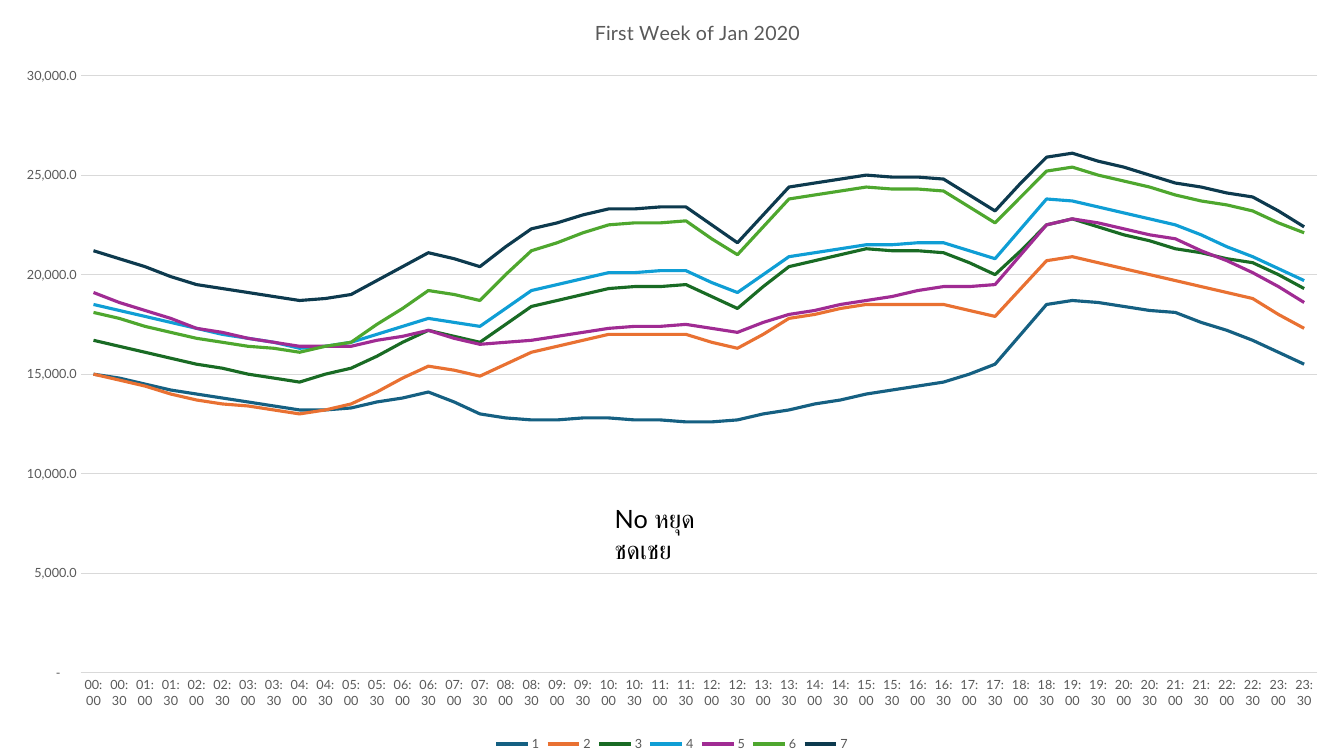
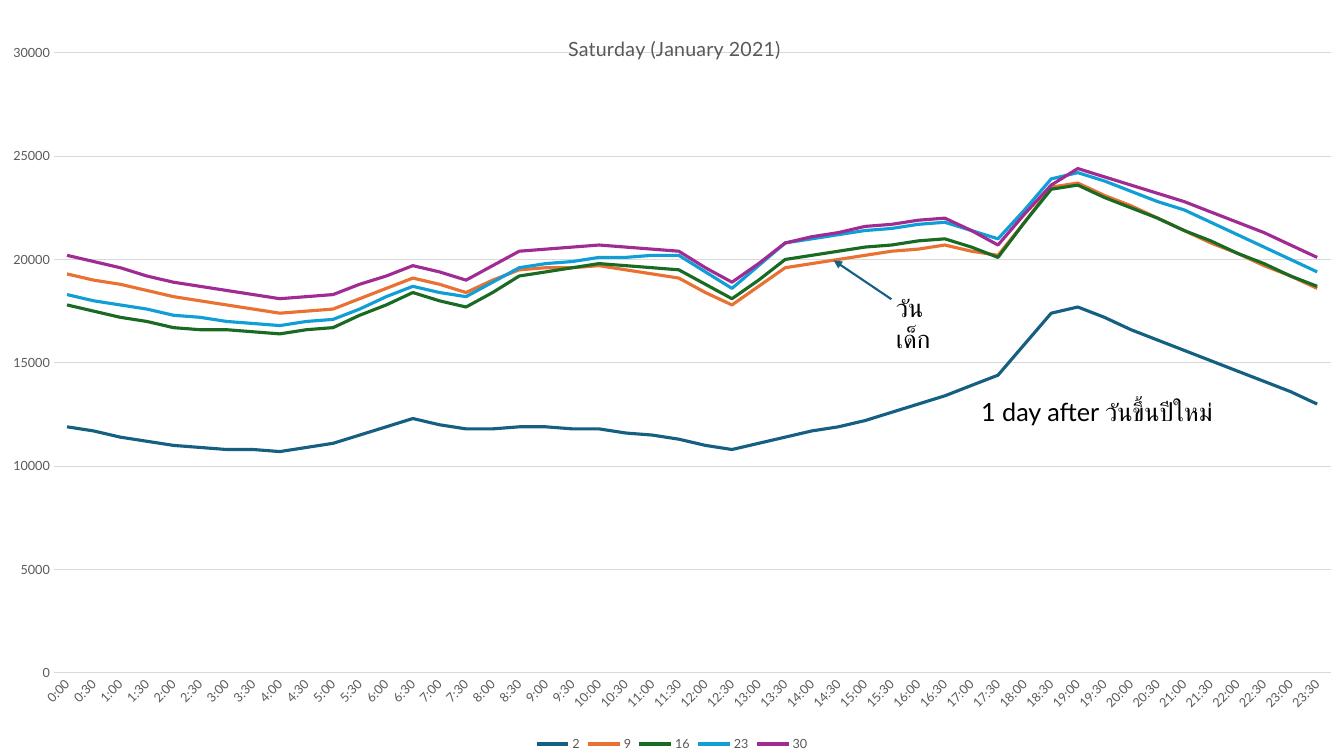
import itertools

import pptx
import pptx.chart.data
import pptx.dml.color
import pptx.enum.chart
import pptx.enum.shapes
import pptx.enum.text
import pptx.oxml.ns
import pptx.util
from lxml import etree

PX = 9525
SLIDE_W, SLIDE_H = 1280, 720
FONT = "Lato"
RGB = pptx.dml.color.RGBColor
BLACK = RGB(0x00, 0x00, 0x00)
GRAY = RGB(0x59, 0x59, 0x59)
RULE = RGB(0xD9, 0xD9, 0xD9)
BLUE = RGB(0x15, 0x60, 0x82)
SERIES_COLORS = [
    BLUE,
    RGB(0xE9, 0x71, 0x32),
    RGB(0x19, 0x6B, 0x24),
    RGB(0x0F, 0x9E, 0xD5),
    RGB(0xA0, 0x2B, 0x93),
    RGB(0x4E, 0xA7, 0x2E),
    RGB(0x0D, 0x3A, 0x4E),
]
Pt = pptx.util.Pt
qn = pptx.oxml.ns.qn

HALF_HOURS = [(hour, minute) for hour in range(24) for minute in (0, 30)]

# Half-hour slots where the curves turn; slots between them are interpolated
TURNS = [0, 4, 8, 10, 13, 15, 17, 20, 23, 25, 27, 30, 33, 35, 37, 38, 42, 45, 47]

# Load at each turn, in hundreds, keyed by day of the month
FIRST_WEEK_2020 = {
    "1": [150, 140, 132, 133, 141, 130, 127, 128, 126, 127,
          132, 140, 146, 155, 185, 187, 181, 167, 155],
    "2": [150, 137, 130, 135, 154, 149, 161, 170, 170, 163,
          178, 185, 185, 179, 207, 209, 197, 188, 173],
    "3": [167, 155, 146, 153, 172, 166, 184, 193, 195, 183,
          204, 213, 211, 200, 225, 228, 213, 206, 193],
    "4": [185, 173, 163, 166, 178, 174, 192, 201, 202, 191,
          209, 215, 216, 208, 238, 237, 225, 209, 197],
    "5": [191, 173, 164, 164, 172, 165, 167, 173, 175, 171,
          180, 187, 194, 195, 225, 228, 218, 201, 186],
    "6": [181, 168, 161, 166, 192, 187, 212, 225, 227, 210,
          238, 244, 242, 226, 252, 254, 240, 232, 221],
    "7": [212, 195, 187, 190, 211, 204, 223, 233, 234, 216,
          244, 250, 248, 232, 259, 261, 246, 239, 224],
}
SATURDAYS_2021 = {
    "2": [119, 110, 107, 111, 123, 118, 119, 118, 113, 108,
          114, 122, 134, 144, 174, 177, 156, 141, 130],
    "9": [193, 182, 174, 176, 191, 184, 195, 197, 191, 178,
          196, 202, 207, 202, 235, 237, 214, 197, 186],
    "16": [178, 167, 164, 167, 184, 177, 192, 198, 195, 181,
           200, 206, 210, 201, 234, 236, 214, 198, 187],
    "23": [183, 173, 168, 171, 187, 182, 196, 201, 202, 186,
           208, 214, 218, 210, 239, 242, 224, 206, 194],
    "30": [202, 189, 181, 183, 197, 190, 204, 207, 204, 189,
           208, 216, 220, 207, 236, 244, 228, 213, 201],
}

SLIDES = [
    {
        "title": "First Week of Jan 2020",
        "title_at": {"x": 0.44, "y": 0.02},
        "plot_at": {"x": 0.06, "y": 0.1, "w": 0.92, "h": 0.79},
        "times": [f"{h:02}:{m:02}" for h, m in HALF_HOURS],
        "time_rotation": 0,
        "number_format": '#,##0.0;[Red]\\-#,##0.0;"-"_____;',
        "days": FIRST_WEEK_2020,
        "notes": [("No หยุดชดเชย", 576, 475, 129)],
        "arrows": [],
    },
    {
        "title": "Saturday (January 2021)",
        "title_at": {"x": 0.42, "y": 0.04},
        "plot_at": {"x": 0.04, "y": 0.07, "w": 0.95, "h": 0.82},
        "times": [f"{h}:{m:02}" for h, m in HALF_HOURS],
        "time_rotation": -45,
        "number_format": "General",
        "days": SATURDAYS_2021,
        "notes": [("1 day after วันขึ้นปีใหม่", 925, 373, 245),
                  ("วันเด็ก", 844, 274, 63)],
        "arrows": [(849, 285, 794, 248)],
    },
]


def set_layout(parent, index, places, inner=False):
    """Place a chart part by fractions of the chart area."""
    for old in parent.findall(qn("c:layout")):
        parent.remove(old)
    layout = etree.Element(qn("c:layout"))
    manual = etree.SubElement(layout, qn("c:manualLayout"))
    if inner:
        etree.SubElement(manual, qn("c:layoutTarget")).set("val", "inner")
    for key in "xy":
        etree.SubElement(manual, qn(f"c:{key}Mode")).set("val", "edge")
    for key, value in places.items():
        etree.SubElement(manual, qn(f"c:{key}")).set("val", str(value))
    parent.insert(index, layout)


def style_font(font, size, color):
    font.name = FONT
    font.size = Pt(size)
    font.bold = False
    font.color.rgb = color


prs = pptx.Presentation()
prs.slide_width, prs.slide_height = SLIDE_W * PX, SLIDE_H * PX

for page in SLIDES:
    s = prs.slides.add_slide(prs.slide_layouts[6])

    data = pptx.chart.data.CategoryChartData()
    data.categories = page["times"]
    for day, hundreds in page["days"].items():
        values = [hundreds[0] * 100]
        turns = zip(TURNS, hundreds)
        for (start, low), (end, high) in itertools.pairwise(turns):
            step = (high - low) / (end - start)
            values += [round(low + step * n) * 100
                       for n in range(1, end - start + 1)]
        data.add_series(day, values)
    chart = s.shapes.add_chart(
        pptx.enum.chart.XL_CHART_TYPE.LINE, 0, 0,
        prs.slide_width, prs.slide_height, data).chart
    style_font(chart.font, 10, BLACK)

    chart.has_title = True
    p = chart.chart_title.text_frame.paragraphs[0]
    p.text = page["title"]
    style_font(p.font, 14, GRAY)
    set_layout(chart.chart_title._element, 1, page["title_at"])
    plot_area = chart._chartSpace.find(".//" + qn("c:plotArea"))
    set_layout(plot_area, 0, page["plot_at"], inner=True)

    chart.has_legend = True
    chart.legend.position = pptx.enum.chart.XL_LEGEND_POSITION.BOTTOM
    chart.legend.include_in_layout = False
    style_font(chart.legend.font, 9, GRAY)

    times, load = chart.category_axis, chart.value_axis
    for axis in (times, load):
        axis.major_tick_mark = pptx.enum.chart.XL_TICK_MARK.NONE
        axis.minor_tick_mark = pptx.enum.chart.XL_TICK_MARK.NONE
        style_font(axis.tick_labels.font, 9, GRAY)
    times.has_major_gridlines = False
    load.has_major_gridlines = True
    for line in (times.format.line, load.major_gridlines.format.line):
        line.color.rgb = RULE
        line.width = Pt(0.75)
    body = times._element.find(qn("c:txPr")).find(qn("a:bodyPr"))
    body.set("rot", str(page["time_rotation"] * 60000))

    load.format.line.fill.background()
    for old in load._element.findall(qn("c:crossBetween")):
        load._element.remove(old)
    between = etree.Element(qn("c:crossBetween"))
    between.set("val", "between")
    load._element.find(qn("c:crosses")).addnext(between)
    load.minimum_scale, load.maximum_scale = 0, 30000
    load.major_unit = 5000
    load.tick_labels.number_format = page["number_format"]
    load.tick_labels.number_format_is_linked = False

    chart.plots[0].vary_by_categories = False
    for series, color in zip(chart.plots[0].series, SERIES_COLORS):
        series.smooth = False
        series.format.line.color.rgb = color
        series.format.line.width = Pt(2.25)

    for x1, y1, x2, y2 in page["arrows"]:
        arrow = s.shapes.add_connector(
            pptx.enum.shapes.MSO_CONNECTOR.STRAIGHT,
            x1 * PX, y1 * PX, x2 * PX, y2 * PX)
        arrow.line.color.rgb = BLUE
        arrow.line.width = Pt(1.5)
        sp_pr = arrow._element.spPr
        head = etree.SubElement(sp_pr.find(qn("a:ln")), qn("a:tailEnd"))
        head.set("type", "triangle")
        etree.SubElement(sp_pr, qn("a:effectLst"))

    for text, x, y, width in page["notes"]:
        tf = s.shapes.add_textbox(x * PX, y * PX, width * PX, 39 * PX).text_frame
        tf.word_wrap = True
        tf.auto_size = pptx.enum.text.MSO_AUTO_SIZE.SHAPE_TO_FIT_TEXT
        p = tf.paragraphs[0]
        p.text = text
        style_font(p.font, 18, BLACK)

prs.save("out.pptx")
